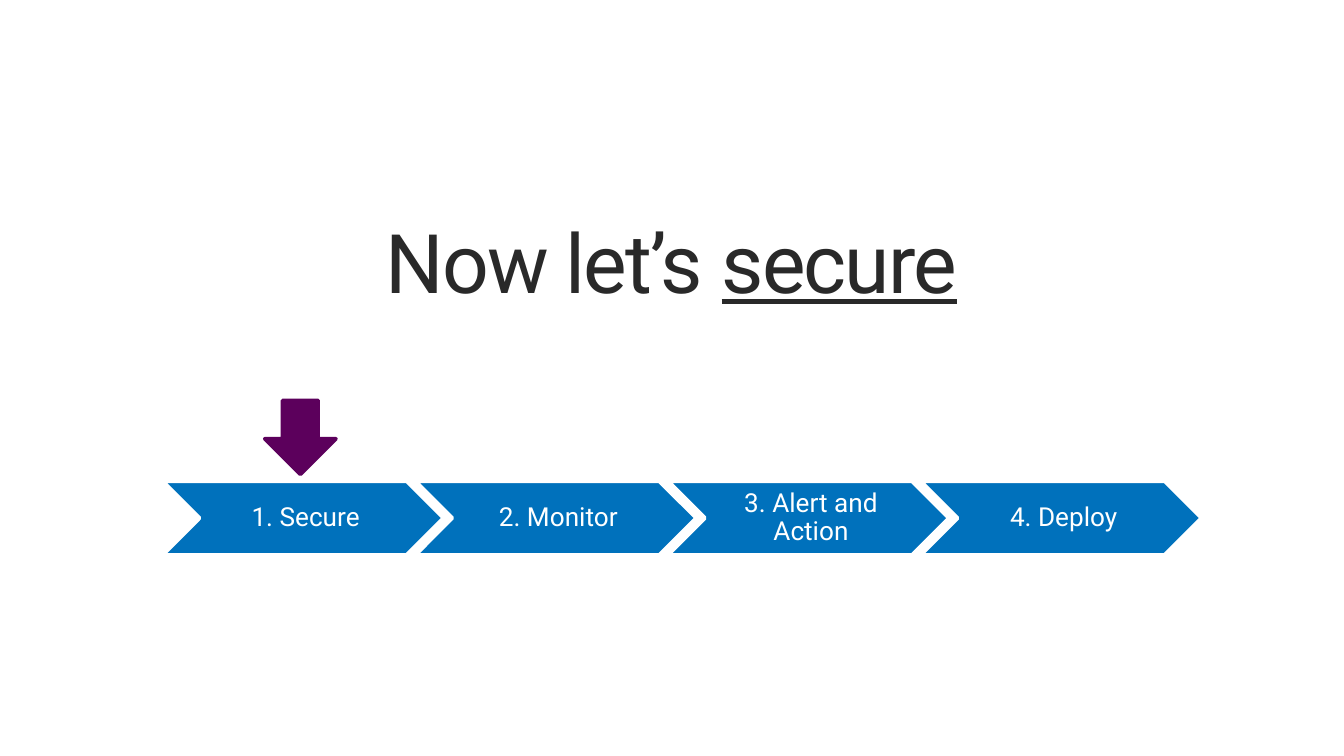
from dataclasses import dataclass

from pptx import Presentation
from pptx.dml.color import RGBColor
from pptx.enum.shapes import MSO_SHAPE
from pptx.enum.text import MSO_ANCHOR, PP_ALIGN
from pptx.util import Inches, Pt

CHEVRON, DOWN_ARROW = MSO_SHAPE.CHEVRON, MSO_SHAPE.DOWN_ARROW
MIDDLE, CENTER = MSO_ANCHOR.MIDDLE, PP_ALIGN.CENTER

FONT = "Roboto"
COLORS = {"ink": "292929", "step": "0071BC", "marker": "5C005C", "white": "FFFFFF"}

# Slide is 16:9; process row grid, in inches
SLIDE_W = 10
SLIDE_H = SLIDE_W * 9 / 16
ROW_LEFT, ROW_TOP, ROW_H = 1.21, 3.58, 0.55
COL_STEP, STEP_W = 1.88, 2.09
LABEL_INSET = ROW_H / 2  # depth of the chevron's notch and point
MARKER_LEFT, MARKER_W, MARKER_GAP = 0.76, 0.53, 0.05


@dataclass
class Box:
    left: float
    top: float
    width: float
    height: float

    def emu(self) -> tuple:
        return tuple(Inches(v) for v in (self.left, self.top, self.width, self.height))


@dataclass
class Step:
    col: int
    label: str

    def box(self) -> Box:
        return Box(ROW_LEFT + self.col * COL_STEP, ROW_TOP, STEP_W, ROW_H)


def rgb(name: str) -> RGBColor:
    return RGBColor.from_string(COLORS[name])


def add_text(s, box: Box, runs: list, *, size: float, color: str,
             insets: tuple = (0, 0, 0, 0), spacing: int = 0, after: float = 0) -> None:
    """Add centred text; runs holds (text, underlined) pairs."""
    tf = s.shapes.add_textbox(*box.emu()).text_frame
    tf.word_wrap = True
    tf.vertical_anchor = MIDDLE
    tf.margin_left, tf.margin_top, tf.margin_right, tf.margin_bottom = map(Inches, insets)
    p = tf.paragraphs[0]
    p.alignment, p.line_spacing, p.space_after = CENTER, 0.9, Pt(after)
    for text, underlined in runs:
        r = p.add_run()
        r.text = text
        r.font.name, r.font.size = FONT, Pt(size)
        r.font.color.rgb = rgb(color)
        if underlined:
            r.font.underline = True
        if spacing:
            r._r.get_or_add_rPr().set("spc", str(spacing))


def add_block(s, kind, box: Box, fill: str, line: str) -> None:
    sp = s.shapes.add_shape(kind, *box.emu())
    sp.shadow.inherit = False
    sp.fill.solid()
    sp.fill.fore_color.rgb = rgb(fill)
    sp.line.color.rgb = rgb(line)
    sp.line.width = Pt(2)


def add_step(s, step: Step) -> None:
    box = step.box()
    add_block(s, CHEVRON, box, "step", "white")
    label = Box(box.left + LABEL_INSET, box.top, box.width - 2 * LABEL_INSET, box.height)
    add_text(s, label, [(step.label, False)], size=14, color="white",
             insets=(0.06, 0.02, 0.02, 0.02), after=4.9)


def add_marker(s, step: Step) -> None:
    """Point at the current step from above."""
    box = step.box()
    add_block(s, DOWN_ARROW,
              Box(box.left + MARKER_LEFT, box.top - ROW_H - MARKER_GAP, MARKER_W, ROW_H),
              "marker", "marker")


def main() -> None:
    prs = Presentation()
    prs.slide_width, prs.slide_height = Inches(SLIDE_W), Inches(SLIDE_H)
    s = prs.slides.add_slide(prs.slide_layouts[6])

    # Title
    add_text(s, Box(0.42, 1.65, 9.15, 0.67), [("Now let’s ", False), ("secure", True)],
             size=44, color="ink", spacing=-100)

    # Process steps
    labels = ["1. Secure", "2. Monitor", "3. Alert and Action", "4. Deploy"]
    steps = [Step(col, label) for col, label in enumerate(labels)]
    for step in steps:
        add_step(s, step)

    # Current step
    add_marker(s, steps[0])
    prs.save("out.pptx")


if __name__ == "__main__":
    main()
